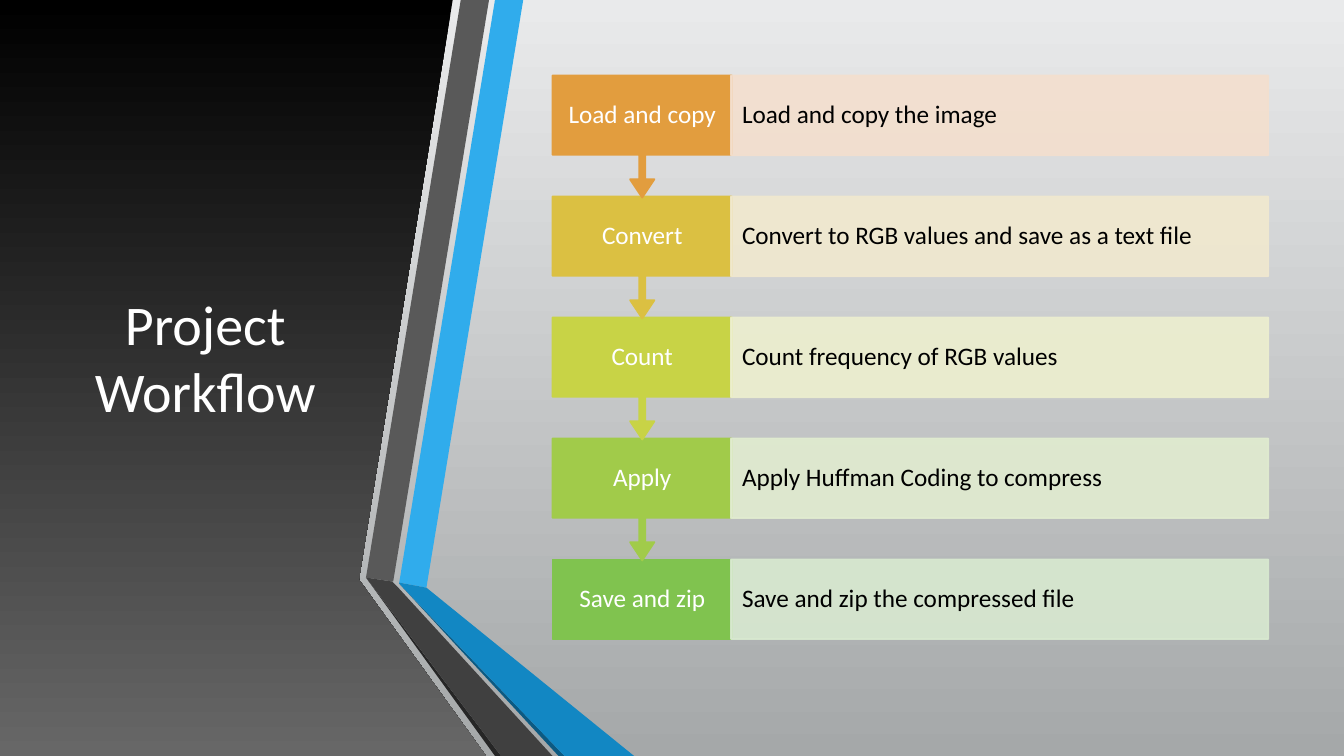
import pptx
import pptx.util
import pptx.dml.color
import pptx.enum.shapes
import pptx.enum.text
import pptx.oxml.ns
import lxml.etree

Inches = pptx.util.Inches
RGB = pptx.dml.color.RGBColor
SHAPE = pptx.enum.shapes.MSO_SHAPE
ALIGN = pptx.enum.text.PP_ALIGN
MIDDLE = pptx.enum.text.MSO_ANCHOR.MIDDLE

FONT = "Calibri"
WHITE = RGB(0xFF, 0xFF, 0xFF)
BLACK = RGB(0x00, 0x00, 0x00)
GREY = RGB(0x67, 0x67, 0x67)
LIGHT = RGB(0xE9, 0xEA, 0xEB)
SILVER = RGB(0xA5, 0xA8, 0xA9)

# Dark panel and the folded ribbons along its edge
PANEL = [(0, 0), (4.49, 0), (3.56, 5.75), (4.82, 7.5), (0, 7.5)]
BANDS = [
    (RGB(0x30, 0xAC, 0xEC), [(3.96, 5.78), (4.23, 5.83), (5.19, 0), (4.91, 0)]),
    (RGB(0x59, 0x59, 0x59), [(4.85, 0), (4.57, 0), (3.63, 5.73), (3.9, 5.77)]),
    (RGB(0x26, 0x26, 0x26), [(3.63, 5.73), (4.91, 7.5), (4.97, 7.5)]),
    (RGB(0x0C, 0x5A, 0x82), [(3.96, 5.79), (5.54, 7.5), (5.6, 7.5)]),
    (RGB(0x12, 0x87, 0xC3),
     [(3.96, 5.78), (3.96, 5.79), (5.6, 7.5), (6.29, 7.5), (4.23, 5.83)]),
    (RGB(0x40, 0x40, 0x40),
     [(5.48, 7.5), (3.95, 5.83), (3.89, 5.77), (3.63, 5.73), (4.97, 7.5)]),
]

# Label, detail, label colour, detail colour
STEPS = [
    ("Load and copy", "Load and copy the image",
     RGB(0xE2, 0x9D, 0x3E), RGB(0xF4, 0xDF, 0xCE)),
    ("Convert", "Convert to RGB values and save as a text file",
     RGB(0xDB, 0xC0, 0x42), RGB(0xF1, 0xE9, 0xCF)),
    ("Count", "Count frequency of RGB values",
     RGB(0xC8, 0xD3, 0x46), RGB(0xED, 0xEF, 0xCF)),
    ("Apply", "Apply Huffman Coding to compress",
     RGB(0xA1, 0xCB, 0x4A), RGB(0xE1, 0xEC, 0xD0)),
    ("Save and zip", "Save and zip the compressed file",
     RGB(0x80, 0xC3, 0x4F), RGB(0xD8, 0xE9, 0xD0)),
]
TOP, PITCH = 0.75, 1.2
LEFT, SPLIT = 5.48, 7.25
LABEL, DETAIL = 1.78, 5.33
BOX, CALL = 0.79, 1.21


def shade(fill, top, bottom):
    fill.gradient()
    fill.gradient_angle = 270
    for stop, color in zip(fill.gradient_stops, (top, bottom)):
        stop.color.rgb = color


def outline(slide, points):
    spots = [(Inches(x), Inches(y)) for x, y in points]
    pen = slide.shapes.build_freeform(*spots[0], scale=1.0)
    pen.add_line_segments(spots[1:], close=True)
    shape = pen.convert_to_shape()
    shape.shadow.inherit = False
    shape.line.fill.background()
    return shape


def fade(shape, percent):
    qn = pptx.oxml.ns.qn
    for node in list(shape._element.spPr.iter(qn("a:srgbClr"))):
        alpha = lxml.etree.SubElement(node, qn("a:alpha"))
        alpha.set("val", str(percent * 1000))


def block(slide, kind, place, color, text, ink, align, pads):
    shape = slide.shapes.add_shape(kind, *[Inches(v) for v in place])
    shape.shadow.inherit = False
    shape.fill.solid()
    shape.fill.fore_color.rgb = color
    shape.line.color.rgb = color
    shape.line.width = pptx.util.Pt(1.25)
    frame = shape.text_frame
    frame.word_wrap = True
    frame.vertical_anchor = MIDDLE
    frame.margin_left = frame.margin_right = Inches(pads[0])
    frame.margin_top = frame.margin_bottom = Inches(pads[1])
    write(frame, text, 18, ink, align)
    frame.paragraphs[0].line_spacing = 0.9
    return shape


def write(frame, text, size, ink, align):
    frame.text = text
    para = frame.paragraphs[0]
    para.alignment = align
    para.font.name = FONT
    para.font.size = pptx.util.Pt(size)
    para.font.color.rgb = ink


def head(slide, text):
    title = slide.shapes.title
    title.left, title.top = Inches(0.59), Inches(0.75)
    title.width, title.height = Inches(2.89), Inches(5.58)
    frame = title.text_frame
    frame.word_wrap = True
    frame.auto_size = pptx.enum.text.MSO_AUTO_SIZE.NONE
    frame.vertical_anchor = MIDDLE
    write(frame, text, 40, WHITE, ALIGN.CENTER)
    # Bring the title in front of the panel
    slide.shapes._spTree.append(title._element)


def step(slide, row):
    label, detail, color, tint = STEPS[row]
    top = TOP + row * PITCH
    last = row == len(STEPS) - 1
    kind = SHAPE.RECTANGLE if last else SHAPE.DOWN_ARROW_CALLOUT
    tag = block(slide, kind, (LEFT, top, LABEL, BOX if last else CALL),
                color, label, WHITE, ALIGN.CENTER, (0.13, 0.14))
    if not last:
        for i, value in enumerate((0.05, 0.1, 0.15, 0.65)):
            tag.adjustments[i] = value
    bar = block(slide, SHAPE.RECTANGLE, (SPLIT, top, DETAIL, BOX),
                tint, detail, BLACK, ALIGN.LEFT, (0.11, 0.25))
    fade(bar, 90)


def main():
    deck = pptx.Presentation()
    deck.slide_width, deck.slide_height = Inches(13.33), Inches(7.5)
    slide = deck.slides.add_slide(deck.slide_layouts[5])

    # Backdrop
    shade(slide.background.fill, LIGHT, SILVER)
    shade(outline(slide, PANEL).fill, BLACK, GREY)
    head(slide, "Project Workflow")
    for color, points in BANDS:
        band = outline(slide, points)
        band.fill.solid()
        band.fill.fore_color.rgb = color

    # Workflow, last step first so each arrow tip overlaps the next box
    for row in reversed(range(len(STEPS))):
        step(slide, row)
    deck.save("out.pptx")


if __name__ == "__main__":
    main()
